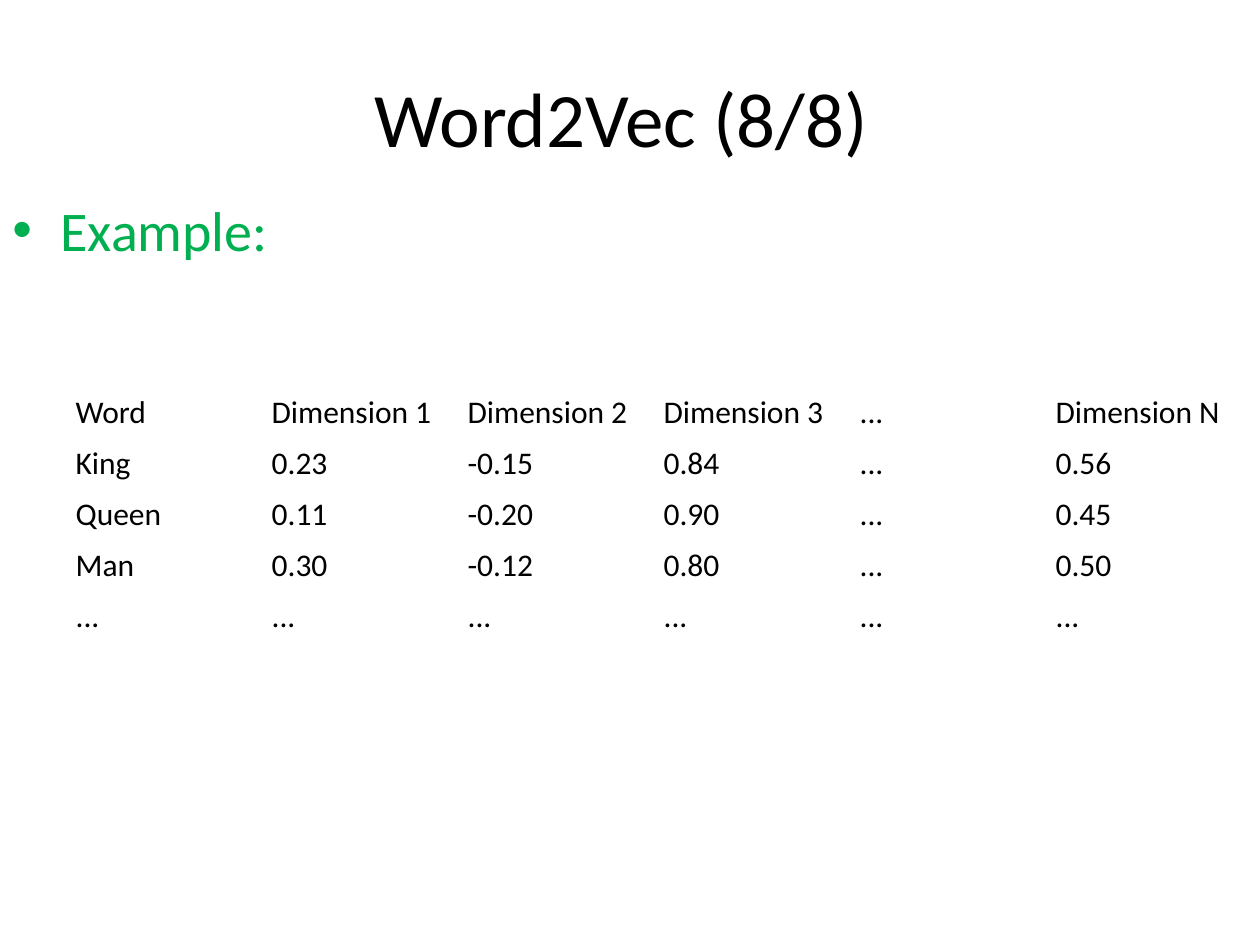
from pptx import Presentation
from pptx.dml.color import RGBColor
from pptx.enum.text import MSO_ANCHOR, PP_ALIGN
from pptx.oxml.ns import qn
from pptx.util import Emu, Pt
from lxml.etree import SubElement

SCALE = 914400 // 126  # EMU per px
TITLE_ONLY = 5

WORD_VECTORS = [
    ["Word", "Dimension 1", "Dimension 2", "Dimension 3", "...", "Dimension N"],
    ["King", "0.23", "-0.15", "0.84", "...", "0.56"],
    ["Queen", "0.11", "-0.20", "0.90", "...", "0.45"],
    ["Man", "0.30", "-0.12", "0.80", "...", "0.50"],
    ["..."] * 6,
]


def px(length):
    return Emu(length * SCALE)


def color(hex_string):
    return RGBColor.from_string(hex_string)


class SlideBuilder:
    font_name = "Calibri"
    ink = "000000"
    accent = "00B050"

    def __init__(self, page):
        self.page = page

    def set_text(self, frame, text, size, hex_string):
        frame.text = text
        for paragraph in frame.paragraphs:
            for span in paragraph.runs:
                span.font.name = self.font_name
                span.font.size = Pt(size)
                span.font.color.rgb = color(hex_string)

    def title(self, text, left, top, width, height):
        box = self.page.shapes.title
        box.left, box.top, box.width, box.height = map(px, (left, top, width, height))
        self.set_text(box.text_frame, text, 44, self.ink)
        box.text_frame.vertical_anchor = MSO_ANCHOR.MIDDLE
        box.text_frame.paragraphs[0].alignment = PP_ALIGN.CENTER

    def bullet(self, text, left, top, width, height, indent):
        box = self.page.shapes.add_textbox(*map(px, (left, top, width, height)))
        frame = box.text_frame
        frame.word_wrap = True
        self.set_text(frame, text, 32, self.accent)
        properties = frame.paragraphs[0]._p.get_or_add_pPr()
        properties.set("marL", str(px(indent)))
        properties.set("indent", str(px(-indent)))
        SubElement(properties, qn("a:buFont")).set("typeface", "Arial")
        SubElement(properties, qn("a:buChar")).set("char", "•")

    def table(self, rows, left, top, column_width, row_height):
        column_count = len(rows[0])
        table = self.page.shapes.add_table(
            len(rows), column_count, px(left), px(top),
            px(column_width * column_count), px(row_height * len(rows))).table
        table.first_row = table.horz_banding = False
        for row_index, row in enumerate(rows):
            for column_index, text in enumerate(row):
                cell = table.cell(row_index, column_index)
                cell.fill.background()
                cell.vertical_anchor = MSO_ANCHOR.MIDDLE
                self.set_text(cell.text_frame, text, 18, self.ink)


def main():
    deck = Presentation()
    deck.slide_width, deck.slide_height = px(1260), px(945)
    builder = SlideBuilder(deck.slides.add_slide(deck.slide_layouts[TITLE_ONLY]))

    # Heading and lead-in
    builder.title("Word2Vec (8/8) ", 63, 38, 1134, 157)
    builder.bullet("Example:", 0, 189, 1260, 624, indent=48)

    # Word embedding values
    builder.table(WORD_VECTORS, 63, 387, column_width=196, row_height=51)

    deck.save("out.pptx")


if __name__ == "__main__":
    main()
